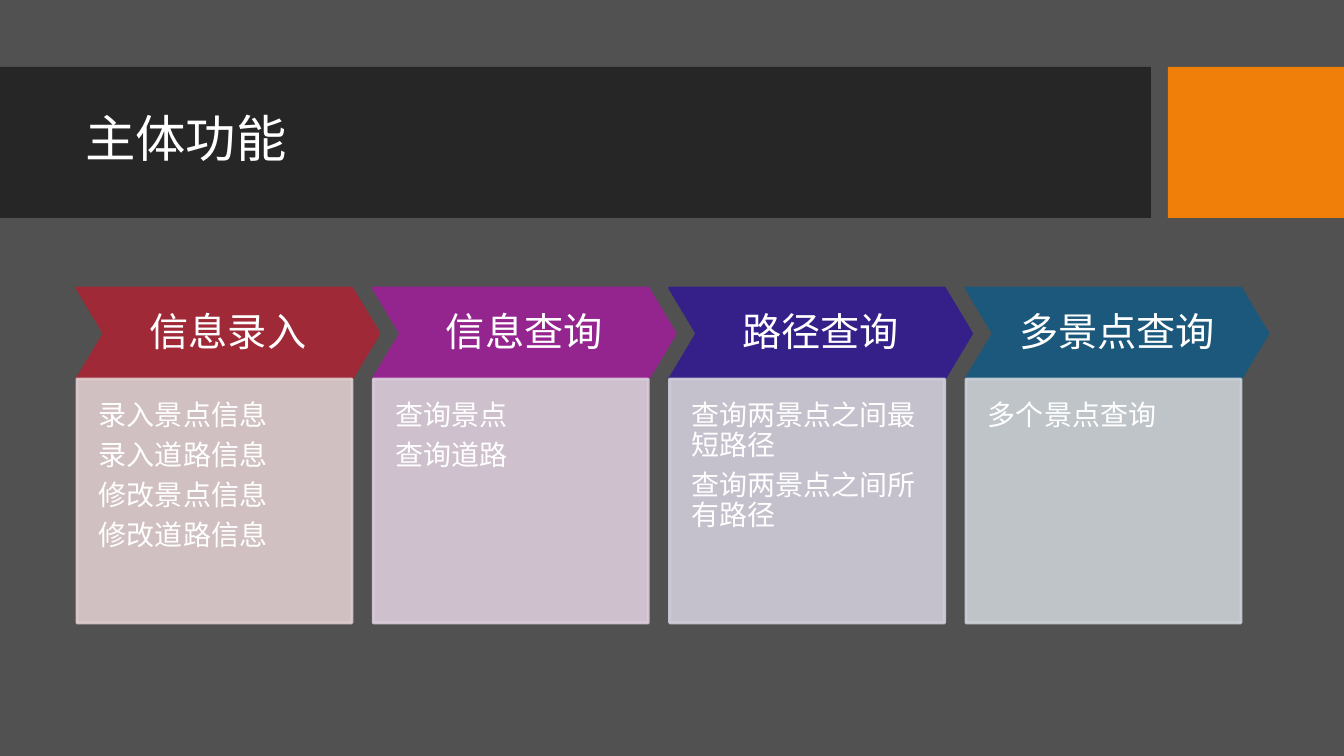
from pptx import Presentation
from pptx.dml.color import RGBColor
from pptx.enum.shapes import MSO_SHAPE
from pptx.enum.text import MSO_ANCHOR, PP_ALIGN
from pptx.oxml.ns import qn
from pptx.util import Pt
from lxml.etree import SubElement

FONT = "Noto Sans CJK SC"
COLORS = {"background": "515151", "band": "262626", "accent": "F07F09", "text": "FFFFFF"}
FUNCTIONS = [
    ("信息录入", "9F2936", "DFCDCE",
     ["录入景点信息", "录入道路信息", "修改景点信息", "修改道路信息"]),
    ("信息查询", "94248E", "DCCDDA", ["查询景点", "查询道路"]),
    ("路径查询", "351F88", "D1CDDA",
     ["查询两景点之间最短路径", "查询两景点之间所有路径"]),
    ("多景点查询", "1B587C", "CCD1D7", ["多个景点查询"]),
]


def px(n):
    """Turn pixels into EMU."""
    return round(n * 914400 / 100.8)


def add_block(slide, kind, box, color, outlined=False, opacity=100):
    """Add a flat shape, optionally outlined and translucent."""
    sp = slide.shapes.add_shape(kind, *map(px, box))
    sp.shadow.inherit = False
    fills = [sp.fill]
    if outlined:
        sp.line.width = Pt(2)
        fills.append(sp.line.fill)
    else:
        sp.line.fill.background()
    for fill in fills:
        fill.solid()
        fill.fore_color.rgb = RGBColor.from_string(color)
    if opacity < 100:
        for clr in sp.element.spPr.iter(qn("a:srgbClr")):
            SubElement(clr, qn("a:alpha")).set("val", str(opacity * 1000))
    return sp


def write(sp, lines, size, margins, anchor, align=PP_ALIGN.LEFT, after=0):
    """Write one paragraph per line into a shape."""
    tf = sp.text_frame
    tf.word_wrap = True
    tf.vertical_anchor = anchor
    tf.margin_left, tf.margin_top, tf.margin_right, tf.margin_bottom = map(px, margins)
    for i, line in enumerate(lines):
        p = tf.paragraphs[0] if i == 0 else tf.add_paragraph()
        p.alignment = align
        p.line_spacing = 0.9
        p.space_after = Pt(after)
        r = p.add_run()
        r.text = line
        r.font.size = Pt(size)
        r.font.name = FONT
        r.font.color.rgb = RGBColor.from_string(COLORS["text"])
        SubElement(r.font._element, qn("a:ea")).set("typeface", FONT)


def add_header(slide, box, title):
    """Place the title band and the accent block at its right."""
    x, y, w, h = box
    accent_w, gap = 176, 17
    band = add_block(slide, MSO_SHAPE.RECTANGLE, (x, y, w - accent_w - gap, h), COLORS["band"])
    write(band, [title], 36, (85, 5, 26, 7), MSO_ANCHOR.MIDDLE)
    add_block(slide, MSO_SHAPE.RECTANGLE, (x + w - accent_w, y, accent_w, h), COLORS["accent"])


def add_column(slide, box, name, color, tint, items):
    """Place one function: a chevron heading above its panel of items."""
    x, y, w, h = box
    head_h, tip = 91, 27
    head = add_block(slide, MSO_SHAPE.CHEVRON, (x, y, w, head_h), color, outlined=True)
    head.adjustments[0] = 0.3
    write(head, [name], 28, (11, 11, 11, 11), MSO_ANCHOR.MIDDLE, PP_ALIGN.CENTER)
    panel = add_block(slide, MSO_SHAPE.RECTANGLE, (x, y + head_h, w - tip, h - head_h),
                      tint, outlined=True, opacity=90)
    write(panel, items, 20, (22, 22, 22, 43), MSO_ANCHOR.TOP, after=7)


def add_process(slide, box):
    """Spread the function columns evenly over the box."""
    x, y, w, h = box
    column_w = 302
    step = (w - column_w) / (len(FUNCTIONS) - 1)
    for i, function in enumerate(FUNCTIONS):
        add_column(slide, (x + i * step, y, column_w, h), *function)


def main():
    """Build the slide and save it."""
    prs = Presentation()
    prs.slide_width, prs.slide_height = px(1344), px(756)
    slide = prs.slides.add_slide(prs.slide_layouts[6])
    slide.background.fill.solid()
    slide.background.fill.fore_color.rgb = RGBColor.from_string(COLORS["background"])
    add_header(slide, (0, 67, 1344, 151), "主体功能")
    add_process(slide, (77, 288, 1191, 335))
    prs.save("out.pptx")


if __name__ == "__main__":
    main()
